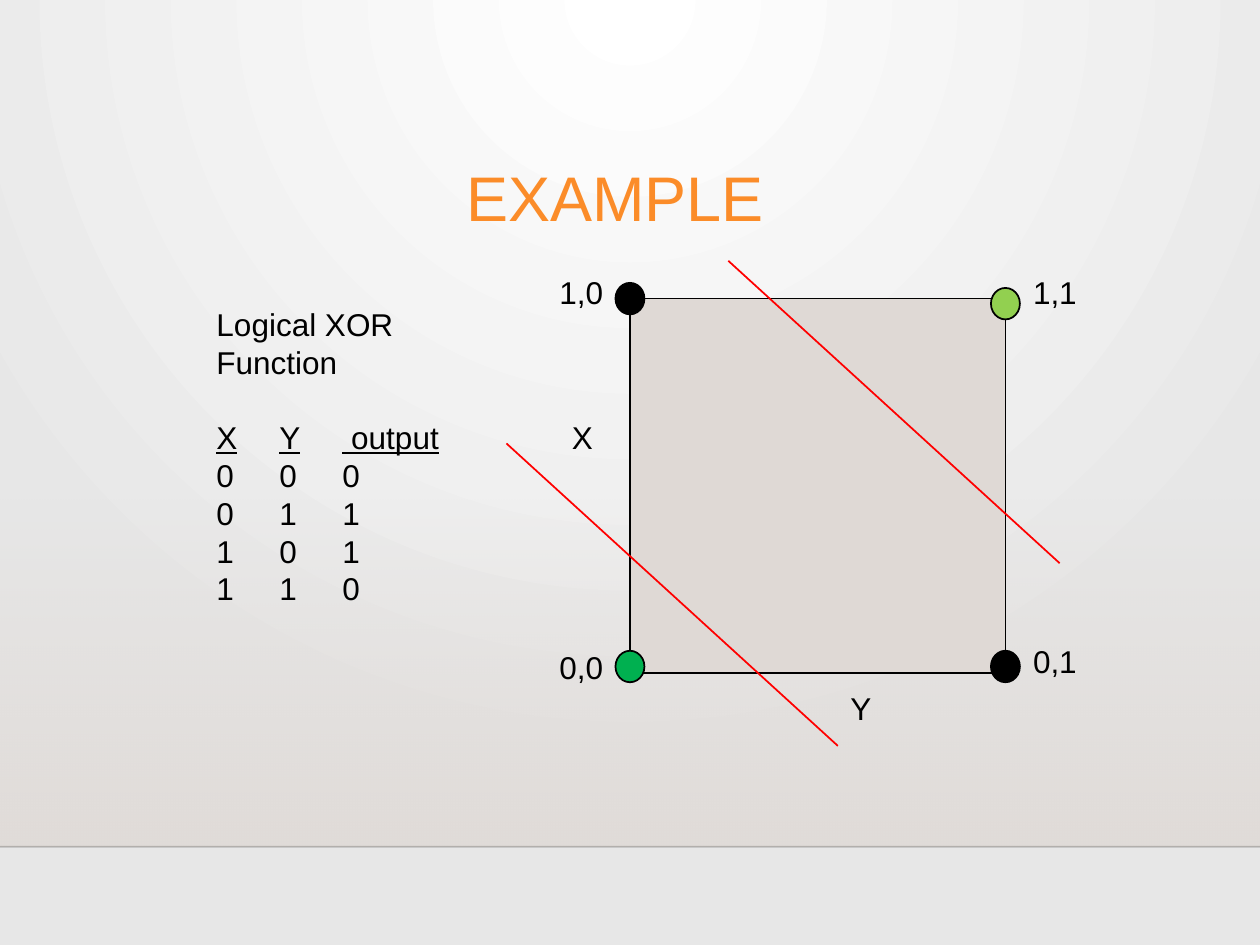
from lxml import etree
from pptx import Presentation
from pptx.dml.color import RGBColor
from pptx.enum.shapes import MSO_CONNECTOR as Connector, MSO_SHAPE as Shape
from pptx.enum.text import MSO_ANCHOR as Anchor, PP_ALIGN as Align
from pptx.oxml.ns import qn
from pptx.util import Inches, Pt

COLORS = {
    "black": "000000", "red": "FF0000", "orange": "FB8C29", "white": "FFFFFF",
    "grey": "E7E7E7", "sand": "DFD9D5", "green": "00B050", "lime": "92D050",
}

# Content
TITLE = "EXAMPLE"
TRUTH_TABLE = ["Logical XOR", "Function", "X\tY\t output",
               "0\t0\t0", "0\t1\t1", "0\t1", "1\t1\t0"]
HEADER_ROW, NUMBERED_ROW = 2, 5
COLUMN_STEP = Inches(0.5)
LABELS = [("X", 4.44, 3.27, 0.44), ("Y", 6.65, 5.42, 0.44),
          ("0,0", 4.34, 5.09, 0.62), ("0,1", 8.1, 5.05, 0.62),
          ("1,0", 4.34, 2.12, 0.62), ("1,1", 8.1, 2.12, 0.62)]
SQUARE = (5, 2.37, 2.98, 2.97)
DOT_WIDTH, DOT_HEIGHT = 0.23, 0.25
DOTS = [(5, 5.29, "green"), (5, 2.37, "black"),
        (7.98, 5.29, "black"), (7.98, 2.41, "lime")]
BOUNDARY_STARTS = [(4.02, 3.52), (5.78, 2.07)]
BOUNDARY_RUN, BOUNDARY_RISE = 2.63, 2.4
HORIZON = 6.72


def rgb(name):
    return RGBColor.from_string(COLORS[name])


def set_alpha(color_parent, percent):
    color = color_parent.find(".//" + qn("a:srgbClr"))
    etree.SubElement(color, qn("a:alpha"), val=str(percent * 1000))


def set_gradient(fill, first, last):
    fill.gradient()
    for stop, name, position in zip(fill.gradient_stops, (first, last), (0, 1)):
        stop.color.rgb = rgb(name)
        stop.position = position


def write(frame, lines, size=18, color="black", align=Align.LEFT, spacing=1.0):
    frame.word_wrap = True
    for index, line in enumerate(lines):
        para = frame.paragraphs[0] if index == 0 else frame.add_paragraph()
        para.alignment, para.line_spacing = align, spacing
        span = para.add_run()
        span.text = line
        span.font.size, span.font.name = Pt(size), "Arial"
        span.font.color.rgb = rgb(color)
    return frame.paragraphs


def add_box(slide, lines, *place):
    box = slide.shapes.add_textbox(*map(Inches, place))
    return write(box.text_frame, lines)


def add_shape(slide, kind, place, fill):
    shape = slide.shapes.add_shape(kind, *map(Inches, place))
    shape.shadow.inherit = False
    shape.fill.solid()
    shape.fill.fore_color.rgb = rgb(fill)
    shape.line.color.rgb = rgb("black")
    shape.line.width = Pt(1)
    return shape


def add_line(slide, x1, y1, x2, y2, color):
    line = slide.shapes.add_connector(Connector.STRAIGHT, *map(Inches, (x1, y1, x2, y2)))
    line.line.color.rgb = rgb(color)
    line.line.width = Pt(1)
    etree.SubElement(line._element.spPr, qn("a:effectLst"))
    return line


deck = Presentation()
deck.slide_width, deck.slide_height = Inches(10), Inches(7.5)
slide = deck.slides.add_slide(deck.slide_layouts[5])

# Background: a circular glow from the top centre
set_gradient(slide.background.fill, "white", "grey")
glow = slide.background._cSld.find(".//" + qn("a:gradFill"))
for linear in glow.findall(qn("a:lin")):
    glow.remove(linear)
circle = etree.SubElement(glow, qn("a:path"), path="circle")
etree.SubElement(circle, qn("a:fillToRect"), l="43000", t="0", r="43000", b="100000")

# Band fading in down to the horizon line
band = add_shape(slide, Shape.RECTANGLE, (0, 3.96, 10, HORIZON - 3.96), "sand")
band.line.fill.background()
set_gradient(band.fill, "sand", "sand")
band.fill.gradient_angle = 270
for stop, percent in zip(band._element.spPr.iter(qn("a:gs")), (0, 80)):
    set_alpha(stop, percent)
horizon = add_line(slide, 0, HORIZON, 10, HORIZON, "black")
set_alpha(horizon._element.spPr.find(qn("a:ln")), 20)

# Title
title = slide.shapes.title
title.left, title.top, title.width, title.height = map(Inches, (0.63, 0.99, 8.51, 1.21))
title.text_frame.vertical_anchor = Anchor.MIDDLE
write(title.text_frame, [TITLE], size=36, color="orange", align=Align.CENTER, spacing=0.9)

# Truth table with hanging indents and evenly spaced columns
rows = add_box(slide, TRUTH_TABLE, 1.62, 2.37, 2.1, 2.52)
rows[HEADER_ROW].space_before = Pt(21.6)
rows[HEADER_ROW].runs[0].font.underline = True
for row in rows:
    properties = row._p.get_or_add_pPr()
    properties.set("marL", str(COLUMN_STEP))
    properties.set("indent", str(-COLUMN_STEP))
    properties.set("defTabSz", str(COLUMN_STEP))
etree.SubElement(rows[NUMBERED_ROW]._p.pPr, qn("a:buAutoNum"), type="arabicPlain")

# Unit square, labels, corner dots and decision boundaries
add_shape(slide, Shape.RECTANGLE, SQUARE, "sand")
for text, left, top, width in LABELS:
    add_box(slide, [text], left, top, width, 0.5)
for x, y, fill in DOTS:
    place = (x - DOT_WIDTH / 2, y - DOT_HEIGHT / 2, DOT_WIDTH, DOT_HEIGHT)
    add_shape(slide, Shape.OVAL, place, fill)
for x, y in BOUNDARY_STARTS:
    add_line(slide, x, y, x + BOUNDARY_RUN, y + BOUNDARY_RISE, "red")

deck.save("out.pptx")
